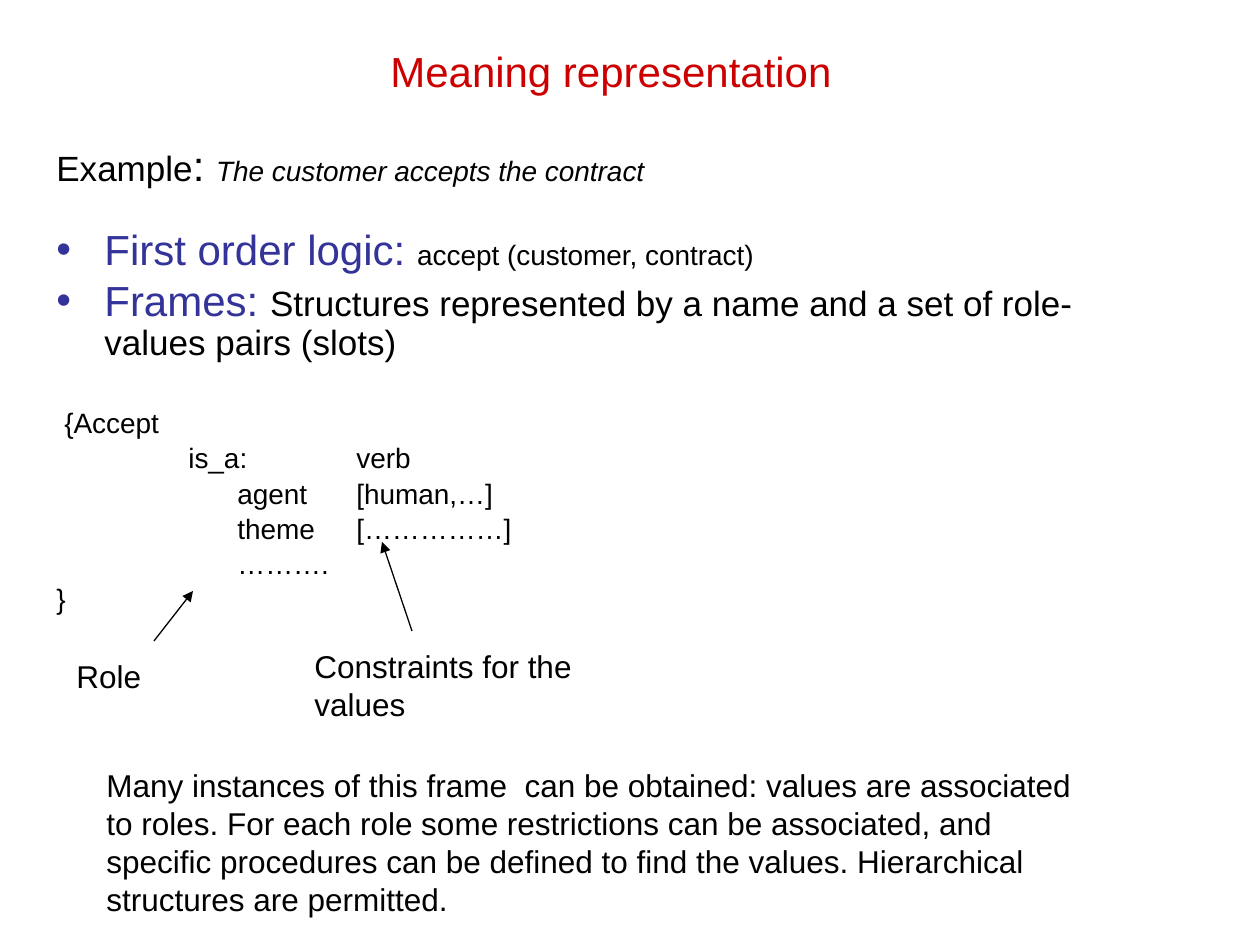
from lxml.etree import SubElement
from pptx import Presentation
from pptx.dml.color import RGBColor
from pptx.enum.shapes import MSO_CONNECTOR
from pptx.enum.text import PP_ALIGN
from pptx.oxml.ns import qn
from pptx.util import Emu, Pt

PX = 914400 // 126
FONT = "Arial"
BLACK, RED, BLUE = "000000", "CC0000", "333399"
HANG = 48
LINE_SPACING = 0.9

# Each paragraph: kind, space before (pt), runs of (text, size, colour, italic)
BODY_BOX = (44, 45, 1134, 624)
BODY = [
    ("title", 0, [("Meaning representation", 24, RED, False)]),
    ("plain", 28, [("Example", 20, BLACK, False), (": ", 24, BLACK, False),
                   ("The customer accepts the contract", 16, BLACK, True)]),
    ("bullet", 21.7, [("First order logic: ", 24, BLUE, False),
                      ("accept (customer, contract)", 16, BLACK, False)]),
    ("bullet", 3.2, [("Frames: ", 24, BLUE, False),
                     ("Structures represented by a name and a set of "
                      "role-values pairs (slots)", 20, BLACK, False)]),
]

# Frame lines: tab stops (px) and text
VALUE_TAB = 300
SLOT_TABS = (181, VALUE_TAB)
FRAME = [
    ((8,), "\t{Accept"),
    ((132, VALUE_TAB), "\tis_a:\tverb"),
    (SLOT_TABS, "\tagent\t[human,…]"),
    (SLOT_TABS, "\ttheme\t[……………]"),
    (SLOT_TABS, "\t………."),
    ((), "}"),
]
FRAME_GAP, FRAME_STEP = 26.5, 2.9

NOTES = [
    ((64, 651, 149, 50), "Role"),
    ((302, 641, 318, 88), "Constraints for the values"),
    ((94, 760, 1002, 164),
     "Many instances of this frame  can be obtained: values are associated to "
     "roles. For each role some restrictions can be associated, and specific "
     "procedures can be defined to find the values. Hierarchical structures "
     "are permitted."),
]
ARROWS = [((412, 631), (382, 542)), ((154, 641), (193, 591))]


def px(*values):
    return [Emu(value * PX) for value in values]


def color(hex_text):
    return RGBColor.from_string(hex_text)


def add_box(slide, place):
    frame = slide.shapes.add_textbox(*px(*place)).text_frame
    frame.word_wrap = True
    return frame


def add_run(para, text, size, hex_text, italic=False):
    span = para.add_run()
    span.text = text
    span.font.name = FONT
    span.font.size = Pt(size)
    span.font.italic = italic
    span.font.color.rgb = color(hex_text)


def add_bullet(para):
    properties = para._p.get_or_add_pPr()
    properties.set("marL", str(HANG * PX))
    properties.set("indent", str(-HANG * PX))
    bullet_color = SubElement(properties, qn("a:buClr"))
    SubElement(bullet_color, qn("a:srgbClr"), val=BLUE)
    SubElement(properties, qn("a:buFont"), typeface=FONT)
    SubElement(properties, qn("a:buChar"), char="•")


def add_tabs(para, stops):
    tab_list = SubElement(para._p.get_or_add_pPr(), qn("a:tabLst"))
    for stop in stops:
        SubElement(tab_list, qn("a:tab"), pos=str(stop * PX), algn="l")


def next_paragraph(frame, space):
    """Give the unused first paragraph, or a new one set off by space points."""
    first = frame.paragraphs[0]
    para = frame.add_paragraph() if first.runs else first
    para.line_spacing = LINE_SPACING
    if space:
        para.space_before = Pt(space)
    return para


def add_body(slide):
    frame = add_box(slide, BODY_BOX)
    for kind, space, runs in BODY:
        para = next_paragraph(frame, space)
        if kind == "title":
            para.alignment = PP_ALIGN.CENTER
        elif kind == "bullet":
            add_bullet(para)
        for run in runs:
            add_run(para, *run)
    for index, (stops, text) in enumerate(FRAME):
        para = next_paragraph(frame, FRAME_STEP if index else FRAME_GAP)
        if stops:
            add_tabs(para, stops)
        add_run(para, text, 16, BLACK)


def add_arrow(slide, start, end):
    arrow = slide.shapes.add_connector(MSO_CONNECTOR.STRAIGHT, *px(*start, *end))
    arrow.line.color.rgb = color(BLACK)
    arrow.line.width = Pt(0.75)
    SubElement(arrow.line._get_or_add_ln(), qn("a:tailEnd"), type="triangle")
    SubElement(arrow._element.spPr, qn("a:effectLst"))


def main():
    deck = Presentation()
    deck.slide_width, deck.slide_height = px(1260, 945)
    slide = deck.slides.add_slide(deck.slide_layouts[6])
    add_body(slide)
    for place, text in NOTES:
        add_run(add_box(slide, place).paragraphs[0], text, 18, BLACK)
    for start, end in ARROWS:
        add_arrow(slide, start, end)
    deck.save("out.pptx")


if __name__ == "__main__":
    main()
